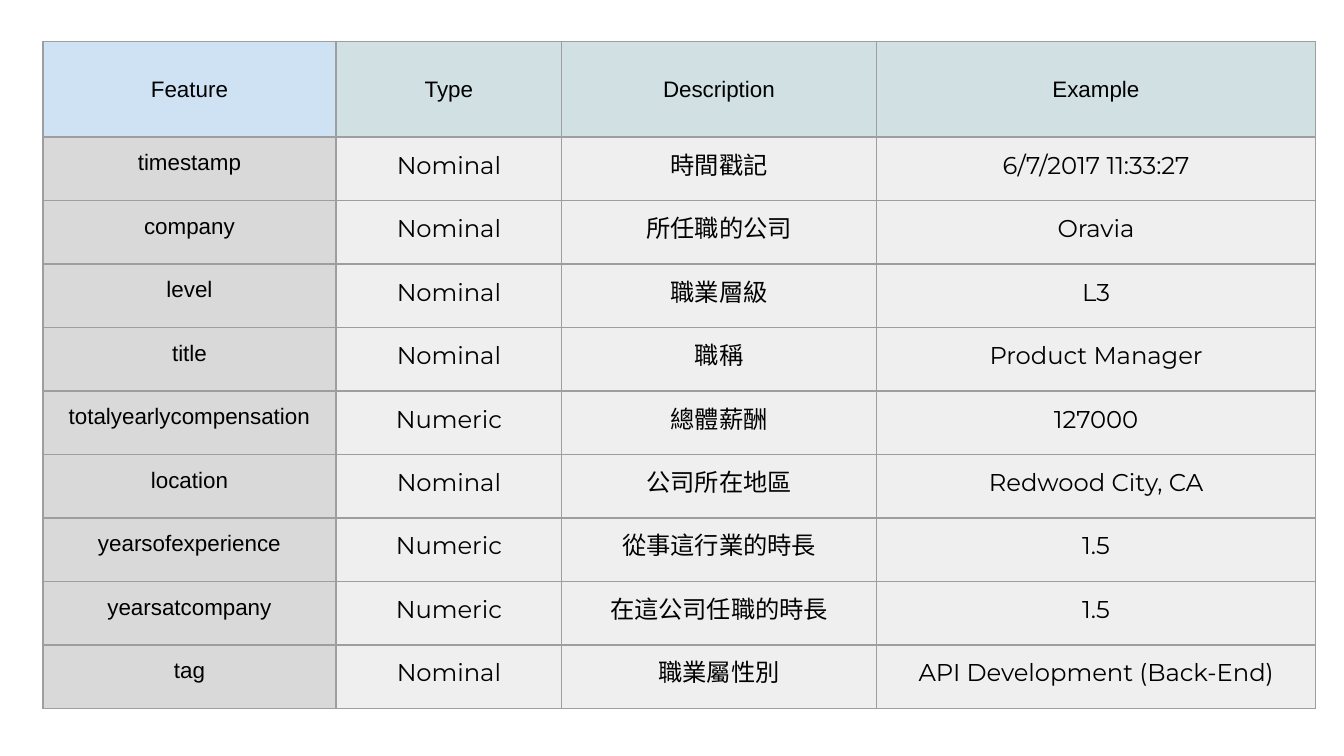
from lxml import etree
from pptx import Presentation
from pptx.dml.color import RGBColor
from pptx.enum import text
from pptx.oxml import ns
from pptx.util import Pt

PX = 2286
THEME = {
    "black": "000000", "ink": "020202", "line": "9E9E9E",
    "blue": "CFE2F3", "teal": "D0E0E3", "grey": "D9D9D9", "pale": "EFEFEF",
    "label": ("Arial", 12), "body": ("Montserrat", 13), "rule": 0.75,
}
ROWS = [
    ("Feature", "Type", "Description", "Example"),
    ("timestamp", "Nominal", "時間戳記", "6/7/2017 11:33:27"),
    ("company", "Nominal", "所任職的公司", "Oravia"),
    ("level", "Nominal", "職業層級", "L3"),
    ("title", "Nominal", "職稱", "Product Manager"),
    ("totalyearlycompensation", "Numeric", "總體薪酬", "127000"),
    ("location", "Nominal", "公司所在地區", "Redwood City, CA"),
    ("yearsofexperience", "Numeric", "從事這行業的時長", "1.5"),
    ("yearsatcompany", "Numeric", "在這公司任職的時長", "1.5"),
    ("tag", "Nominal", "職業屬性別", "API Development (Back-End)"),
]
WIDTHS = [872, 672, 936, 1308]
HEIGHTS = [284] + [189] * 9
PAD = 40 * PX


def add_edges(cell):
    props = cell._tc.get_or_add_tcPr()
    for i, side in enumerate(("lnL", "lnR", "lnT", "lnB")):
        edge = etree.Element(ns.qn(f"a:{side}"), w=str(Pt(THEME["rule"])))
        fill = etree.SubElement(edge, ns.qn("a:solidFill"))
        etree.SubElement(fill, ns.qn("a:srgbClr"), val=THEME["line"])
        props.insert(i, edge)


deck = Presentation()
deck.slide_width, deck.slide_height = 4000 * PX, 2250 * PX
slide = deck.slides.add_slide(deck.slide_layouts[6])
frame = slide.shapes.add_table(
    len(ROWS), len(WIDTHS), 128 * PX, 124 * PX, sum(WIDTHS) * PX, sum(HEIGHTS) * PX
)
table = frame.table
table.first_row = table.horz_banding = False
for col, width in zip(table.columns, WIDTHS):
    col.width = width * PX
for row, height in zip(table.rows, HEIGHTS):
    row.height = height * PX

for r, words in enumerate(ROWS):
    for c, word in enumerate(words):
        cell = table.cell(r, c)
        head, first = r == 0, c == 0
        shade = ("blue" if first else "teal") if head else ("grey" if first else "pale")
        cell.fill.solid()
        cell.fill.fore_color.rgb = RGBColor.from_string(THEME[shade])
        add_edges(cell)
        cell.margin_left = cell.margin_right = PAD
        cell.margin_top = cell.margin_bottom = PAD
        cell.vertical_anchor = text.MSO_ANCHOR.MIDDLE if head else text.MSO_ANCHOR.TOP
        cell.text_frame.text = word
        para = cell.text_frame.paragraphs[0]
        para.alignment = text.PP_ALIGN.CENTER
        font = para.runs[0].font
        label = head or first
        font.name, size = THEME["label" if label else "body"]
        font.size = Pt(size)
        dark = label or (c == 3 and r >= 5)
        font.color.rgb = RGBColor.from_string(THEME["black" if dark else "ink"])
        etree.SubElement(font._element, ns.qn("a:ea"), typeface=font.name)

deck.save("out.pptx")
